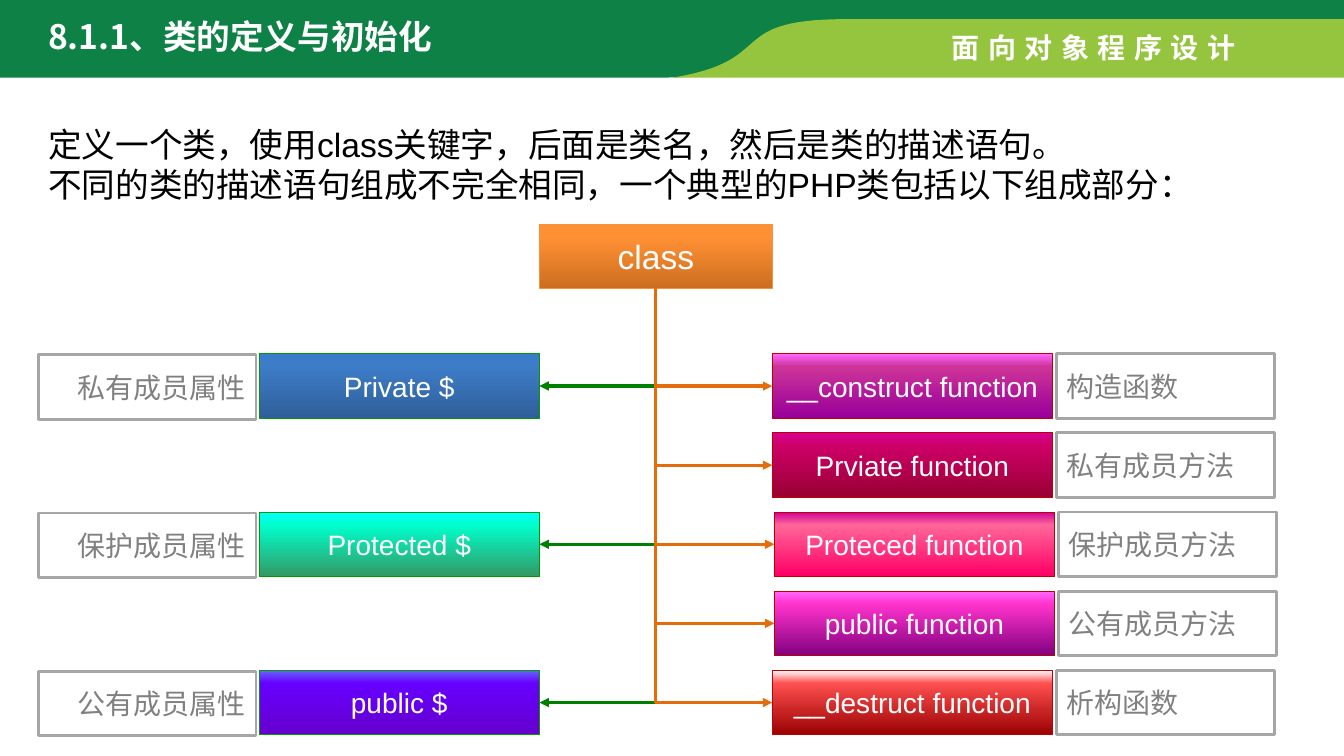
from pptx import Presentation
from pptx.dml.color import RGBColor
from pptx.enum.shapes import MSO_CONNECTOR as Link, MSO_SHAPE as Shape
from pptx.enum.text import MSO_ANCHOR as Anchor, MSO_AUTO_SIZE as AutoSize, PP_ALIGN as Align
from pptx.oxml.ns import qn
from pptx.util import Inches, Pt
from copy import deepcopy
from lxml import etree

CJK = "Noto Sans CJK SC"


def rgb(code):
    return RGBColor.from_string(code)


def write(box, lines, size, color, font="Arial", align=Align.LEFT, bold=False, spacing=0):
    frame = box.text_frame
    frame.text = "\n".join(lines)
    for para in frame.paragraphs:
        para.alignment = align
        para.font.size, para.font.bold = Pt(size), bold
        para.font.color.rgb = rgb(color)
        para.font.name = font
        properties = para._p.pPr.find(qn("a:defRPr"))
        etree.SubElement(properties, qn("a:ea")).set("typeface", CJK)
        if spacing:
            properties.set("spc", str(spacing * 100))


deck = Presentation()
deck.slide_width, deck.slide_height = Inches(13.33), Inches(7.5)
page = deck.slides.add_slide(deck.slide_layouts[6])

# Header bands: a list of four points is a Bézier curve, a pair is a corner
bands = [
    ("0E8146", [(0, -0.03), (13.33, -0.03), (13.33, 0.24), (8.27, 0.24),
                [(8.09, 0.28), (7.27, 0.44), (7.7, 0.77), (6.55, 0.77)], (0, 0.77)]),
    ("95C53E", [(8.39, 0.19), (13.33, 0.19), (13.33, 0.77),
                [(6.67, 0.77), (7.73, 0.6), (7.17, 0.19), (8.39, 0.19)]]),
]
for color, outline in bands:
    points = []
    for part in outline:
        if isinstance(part, tuple):
            points.append(part)
            continue
        for step in range(41):
            t = step / 40
            weights = ((1 - t) ** 3, 3 * t * (1 - t) ** 2, 3 * t ** 2 * (1 - t), t ** 3)
            points.append(tuple(sum(w * p[axis] for w, p in zip(weights, part)) for axis in (0, 1)))
    builder = page.shapes.build_freeform(Inches(points[0][0]), Inches(points[0][1]))
    builder.add_line_segments([(Inches(x), Inches(y)) for x, y in points[1:]])
    band = builder.convert_to_shape()
    band.shadow.inherit = False
    band.fill.solid()
    band.fill.fore_color.rgb = rgb(color)
    band.line.fill.background()

# Header and introduction text
texts = [
    ((9.34, 0.25, 3.12, 0.44), ["面向对象程序设计"], False, Anchor.TOP,
     dict(size=20, color="FFFFFF", bold=True, spacing=6)),
    ((0.38, 0.11, 4.67, 0.5), ["8.1.1、类的定义与初始化"], True, Anchor.TOP,
     dict(size=24, color="FFFFFF", font=CJK, bold=True)),
    ((0.38, 1.17, 12.25, 0.91),
     ["定义一个类，使用class关键字，后面是类名，然后是类的描述语句。",
      "不同的类的描述语句组成不完全相同，一个典型的PHP类包括以下组成部分："], True, Anchor.MIDDLE,
     dict(size=24, color="000000", align=Align.JUSTIFY)),
]
for place, lines, wrap, anchor, style in texts:
    box = page.shapes.add_textbox(*map(Inches, place))
    box.text_frame.word_wrap = wrap
    box.text_frame.auto_size = AutoSize.SHAPE_TO_FIT_TEXT
    box.text_frame.vertical_anchor = anchor
    write(box, lines, **style)

# Class members: row, label, note, gradient from bottom to top
attributes = [
    (0, "Private $", "私有成员属性", ("2F5F99", "3D7CC7", "3A7CCB")),
    (2, "Protected $", "保护成员属性", ("339966", "00FFCC", "00FFFF")),
    (4, "public $", "公有成员属性", ("6600CC", "6600FF", "6666FF")),
]
methods = [
    (0, "__construct function", "构造函数", ("990099", "CC3399", "FF66FF")),
    (1, "Prviate function", "私有成员方法", ("990033", "CC0066", "D60093")),
    (2, "Proteced function", "保护成员方法", ("FF0066", "FF6699", "CC0099")),
    (3, "public function", "公有成员方法", ("800080", "FF33CC", "FF66FF")),
    (4, "__destruct function", "析构函数", ("990000", "FF5050", "FFFFFF")),
]
row_top, row_pitch, row_height = 3.51, 0.785, 0.64
notes = []
blocks = [("class", (5.35, 2.23, 2.31, 0.63), ("CC6E20", "FF9034", "FF9136"), "F69240", 24)]
for row, label, note, colors in attributes:
    top = row_top + row * row_pitch
    notes.append((note, 0.38, top + 0.01, Align.RIGHT))
    blocks.append((label, (2.57, top, 2.78, row_height), colors, "009900", 20))
for row, label, note, colors in methods:
    top = row_top + row * row_pitch
    left = 7.68 if row in (2, 3) else 7.66
    notes.append((note, left + 2.82, top, Align.LEFT))
    blocks.append((label, (left, top, 2.78, row_height), colors, "C00000", 20))

# Outlined notes
for note, left, top, align in notes:
    box = page.shapes.add_shape(Shape.RECTANGLE, *map(Inches, (left, top, 2.16, row_height)))
    box.shadow.inherit = False
    box.fill.solid()
    box.fill.fore_color.rgb = rgb("FFFFFF")
    box.line.color.rgb, box.line.width = rgb("A6A6A6"), Pt(2)
    box.text_frame.vertical_anchor = Anchor.MIDDLE
    write(box, [note], 20, "808080", CJK, align)

# Gradient blocks, the class itself first
drawn = []
for label, place, colors, edge, size in blocks:
    box = page.shapes.add_shape(Shape.RECTANGLE, *map(Inches, place))
    box.shadow.inherit = False
    box.fill.gradient()
    box.fill.gradient_angle = 90
    stop_list = box._element.spPr.find(qn("a:gradFill")).find(qn("a:gsLst"))
    stop_list.append(deepcopy(stop_list[0]))
    for stop, position, color in zip(box.fill.gradient_stops, (0, 0.8, 1), colors):
        stop.position, stop.color.rgb = position, rgb(color)
    box.line.color.rgb, box.line.width = rgb(edge), Pt(0.75)
    box.text_frame.vertical_anchor = Anchor.MIDDLE
    write(box, [label], size, "FFFFFF", align=Align.CENTER)
    drawn.append(box)

# Elbow arrows from the class down to each member
root, *members = drawn
start_x, start_y = root.left + root.width // 2, root.top + root.height
for member in members:
    to_left = member.left < root.left
    end_x = member.left + member.width if to_left else member.left
    end_y = member.top + member.height // 2
    arrow = page.shapes.add_connector(Link.ELBOW, start_x, start_y, end_x, end_y)
    arrow.begin_connect(root, 2)
    arrow.end_connect(member, 3 if to_left else 1)
    # One-bend elbow, turned so that it leaves downwards
    across, down = abs(end_x - start_x), end_y - start_y
    arrow.left = (start_x + end_x - down) // 2
    arrow.top = (start_y + end_y - across) // 2
    arrow.width, arrow.height = down, across
    properties = arrow._element.spPr
    properties.find(qn("a:prstGeom")).set("prst", "bentConnector2")
    frame = properties.find(qn("a:xfrm"))
    frame.set("rot", str((90 if to_left else 270) * 60000))
    frame.set("flipH", "0" if to_left else "1")
    arrow.line.color.rgb = rgb("008000" if to_left else "E46C0A")
    arrow.line.width = Pt(2.25)
    etree.SubElement(properties.find(qn("a:ln")), qn("a:tailEnd")).set("type", "triangle")
    etree.SubElement(properties, qn("a:effectLst"))

deck.save("out.pptx")
